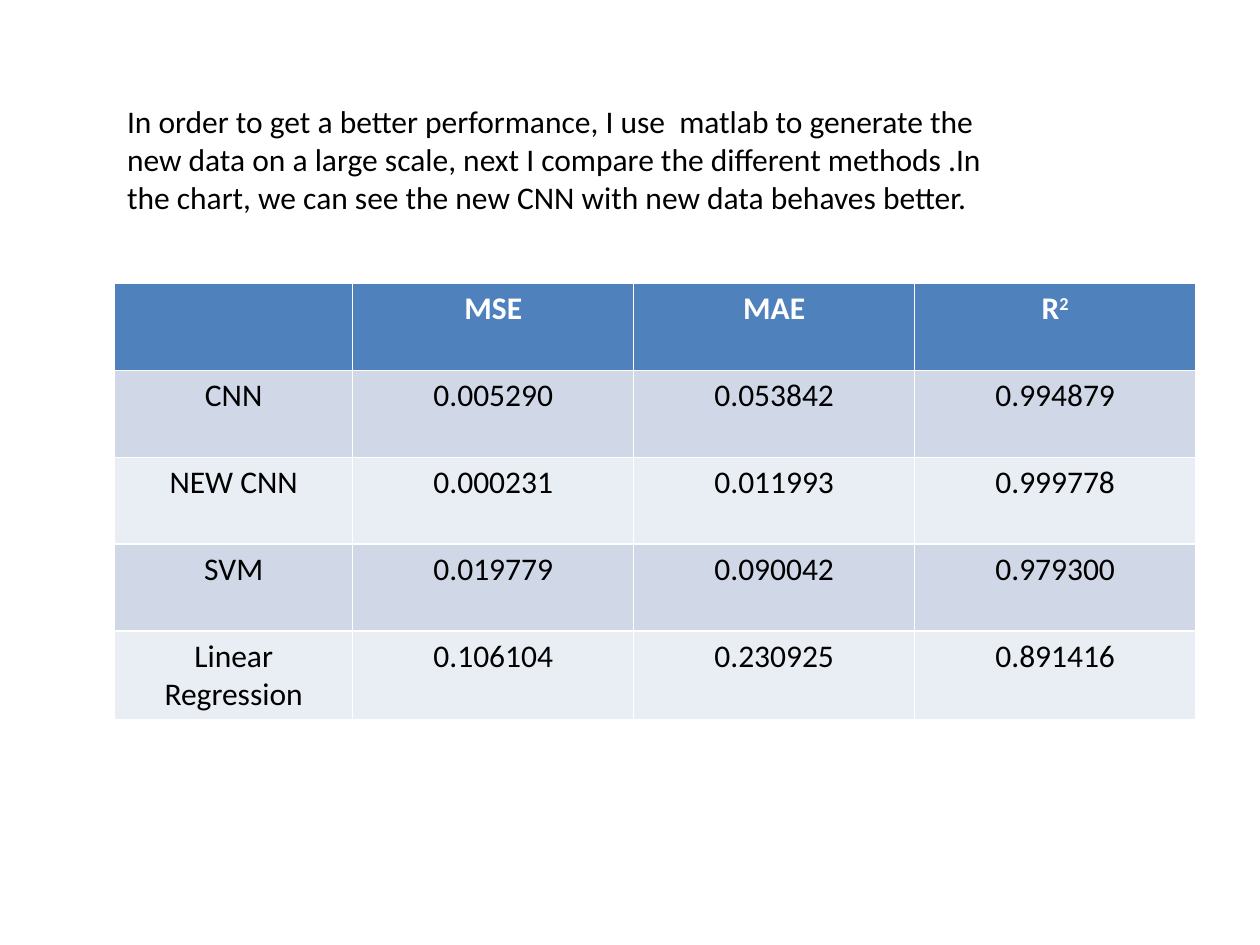
from pptx import Presentation
from pptx.dml.color import RGBColor
from pptx.enum.text import MSO_AUTO_SIZE, PP_ALIGN
from pptx.util import Inches, Pt

FONT, SIZE = "Calibri", 18
BLACK, WHITE = "000000", "FFFFFF"
HEADER_FILL = "4F81BD"
BAND_FILLS = ("D0D8E8", "E9EDF4")

LEFT = 0.91
COLUMN_WIDTHS = (1.89, 2.23, 2.23, 2.23)
ROW_HEIGHT = 0.69

INTRO = (
    "In order to get a better performance, I use  matlab to generate the new data "
    "on a large scale, next I compare the different methods .In the chart, we can "
    "see the new CNN with new data behaves better."
)
RESULTS = (
    ("", "MSE", "MAE", "R"),
    ("CNN", "0.005290", "0.053842", "0.994879"),
    ("NEW CNN", "0.000231", "0.011993", "0.999778"),
    ("SVM", "0.019779", "0.090042", "0.979300"),
    ("Linear Regression", "0.106104", "0.230925", "0.891416"),
)


def color(hex_text):
    return RGBColor.from_string(hex_text)


def style_paragraph(para, text_color, bold=False):
    para.font.name = FONT
    para.font.size = Pt(SIZE)
    para.font.bold = bold
    para.font.color.rgb = color(text_color)


def add_intro(page):
    box = page.shapes.add_textbox(Inches(LEFT), Inches(0.76), Inches(7.32), Inches(1.01))
    frame = box.text_frame
    frame.word_wrap = True
    frame.auto_size = MSO_AUTO_SIZE.SHAPE_TO_FIT_TEXT
    para = frame.paragraphs[0]
    para.text = INTRO
    style_paragraph(para, BLACK)


def add_superscript(para, text):
    span = para.add_run()
    span.text = text
    span._r.get_or_add_rPr().set("baseline", "30000")


def fill_cell(cell, text, fill, text_color, bold):
    cell.fill.solid()
    cell.fill.fore_color.rgb = color(fill)
    para = cell.text_frame.paragraphs[0]
    para.text = text
    para.alignment = PP_ALIGN.CENTER
    style_paragraph(para, text_color, bold)


def add_results_table(page):
    """Add the score table; the default table style draws its white borders."""
    table = page.shapes.add_table(
        len(RESULTS), len(COLUMN_WIDTHS), Inches(LEFT), Inches(2.25),
        Inches(sum(COLUMN_WIDTHS)), Inches(ROW_HEIGHT * len(RESULTS)),
    ).table
    for column, width in zip(table.columns, COLUMN_WIDTHS):
        column.width = Inches(width)
    for row_index, values in enumerate(RESULTS):
        is_header = row_index == 0
        fill = HEADER_FILL if is_header else BAND_FILLS[(row_index - 1) % 2]
        text_color = WHITE if is_header else BLACK
        for column_index, value in enumerate(values):
            fill_cell(table.cell(row_index, column_index), value, fill, text_color, is_header)
    add_superscript(table.cell(0, 3).text_frame.paragraphs[0], "2")


def main():
    deck = Presentation()
    deck.slide_width, deck.slide_height = Inches(10), Inches(7.5)
    page = deck.slides.add_slide(deck.slide_layouts[6])
    add_intro(page)
    add_results_table(page)
    deck.save("out.pptx")


if __name__ == "__main__":
    main()
